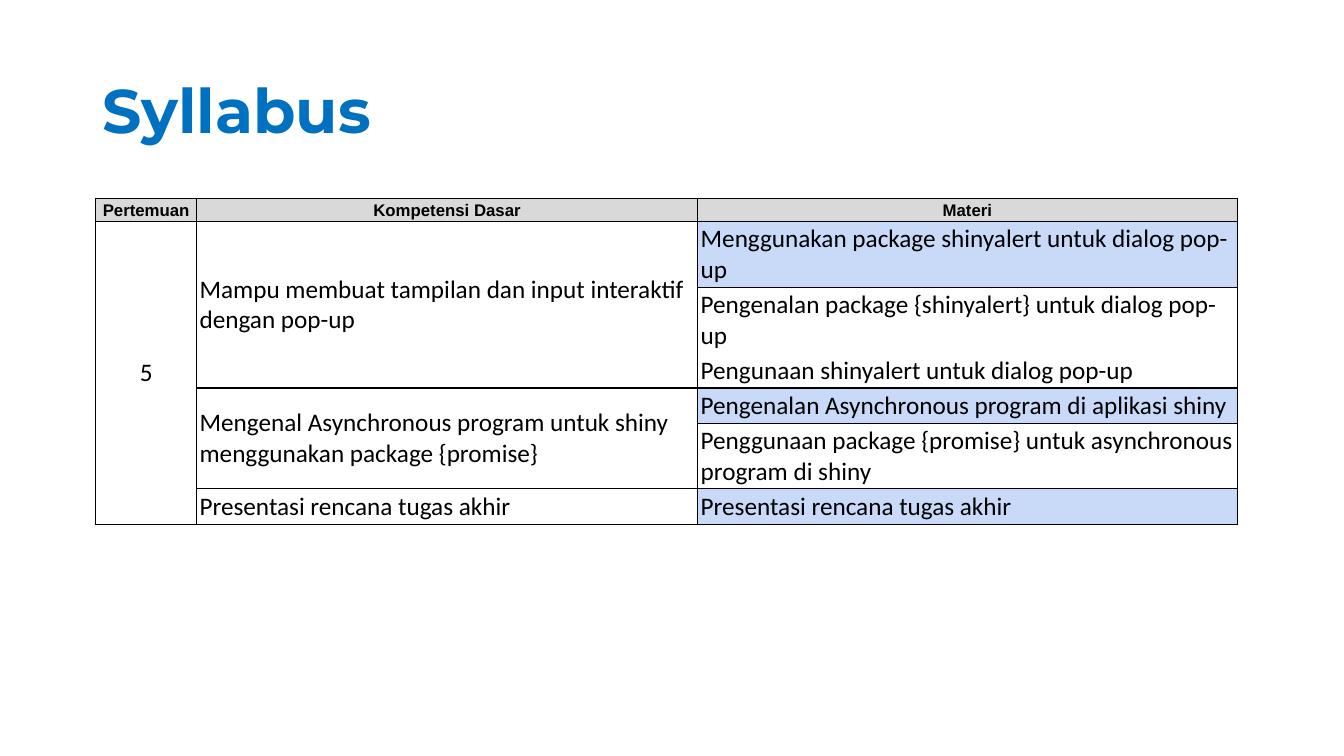
from dataclasses import dataclass
from lxml.etree import SubElement as Sub
from pptx import Presentation
from pptx.dml.color import RGBColor as Rgb
from pptx.enum.text import MSO_ANCHOR as Anchor, PP_ALIGN as Align
from pptx.oxml.ns import qn
from pptx.util import Inches, Pt


@dataclass(frozen=True)
class Theme:
    blue: str = "0070C0"
    black: str = "000000"
    gray: str = "D9D9D9"
    pale: str = "C9DAF8"
    title: int = 44
    head: int = 12
    body: int = 18
    rule: int = 1


theme = Theme()


def write(frame, text, font="Calibri", size=theme.body, color=theme.black,
          bold=False, align=Align.LEFT, space=1.0):
    para = frame.paragraphs[0]
    para.alignment = align
    para.line_spacing = space
    run = para.add_run()
    run.text = text
    run.font.name = font
    run.font.size = Pt(size)
    run.font.bold = bold
    run.font.color.rgb = Rgb.from_string(color)


def border(cell, bare):
    props = cell._tc.get_or_add_tcPr()
    for side in "LRTB":
        line = Sub(props, qn(f"a:ln{side}"), w=str(Pt(theme.rule)))
        if side == bare:
            Sub(line, qn("a:noFill"))
        else:
            solid = Sub(line, qn("a:solidFill"))
            Sub(solid, qn("a:srgbClr"), val=theme.black)


deck = Presentation()
deck.slide_width = Inches(13.33)
deck.slide_height = Inches(7.5)
slide = deck.slides.add_slide(deck.slide_layouts[5])

title = slide.shapes.title
title.left, title.top = Inches(0.92), Inches(0.4)
title.width, title.height = Inches(11.5), Inches(1.45)
title.text_frame.vertical_anchor = Anchor.MIDDLE
write(title.text_frame, "Syllabus", font="Montserrat", size=theme.title,
      color=theme.blue, bold=True, space=0.9)

rows = [
    ("Pertemuan", "Kompetensi Dasar", "Materi"),
    ("5", "Mampu membuat tampilan dan input interaktif dengan pop-up",
     "Menggunakan package shinyalert untuk dialog pop-up"),
    ("", "", "Pengenalan package {shinyalert} untuk dialog pop-up"),
    ("", "", "Pengunaan shinyalert untuk dialog pop-up"),
    ("", "Mengenal Asynchronous program untuk shiny menggunakan package {promise}",
     "Pengenalan Asynchronous program di aplikasi shiny"),
    ("", "", "Penggunaan package {promise} untuk asynchronous program di shiny"),
    ("", "Presentasi rencana tugas akhir", "Presentasi rencana tugas akhir"),
]
widths = [1, 4.97, 5.35]
heights = [0.23, 0.65, 0.65, 0.35, 0.35, 0.65, 0.35]
topics = {1, 4, 6}
bare = {(2, 2): "B", (3, 2): "T"}
low = {(0, 0), (0, 1), (6, 1)}

grid = slide.shapes.add_table(
    len(rows), len(widths), Inches(0.95), Inches(1.97),
    Inches(sum(widths)), Inches(sum(heights))).table
grid.first_row = grid.horz_banding = False
for col, width in zip(grid.columns, widths):
    col.width = Inches(width)
for row, height in zip(grid.rows, heights):
    row.height = Inches(height)

for r, texts in enumerate(rows):
    for c, text in enumerate(texts):
        cell = grid.cell(r, c)
        cell.margin_left = cell.margin_right = Inches(0.03)
        cell.margin_top = cell.margin_bottom = Inches(0.02)
        cell.vertical_anchor = Anchor.BOTTOM if (r, c) in low else Anchor.MIDDLE
        border(cell, bare.get((r, c)))
        if r == 0 or (c == 2 and r in topics):
            cell.fill.solid()
            cell.fill.fore_color.rgb = Rgb.from_string(theme.pale if r else theme.gray)
        else:
            cell.fill.background()
        if r == 0:
            write(cell.text_frame, text, font="Arial", size=theme.head,
                  bold=True, align=Align.CENTER)
        elif text:
            write(cell.text_frame, text, align=Align.LEFT if c else Align.CENTER)

for col, top, end in [(0, 1, 6), (1, 1, 3), (1, 4, 5)]:
    grid.cell(top, col).merge(grid.cell(end, col))

deck.save("out.pptx")
